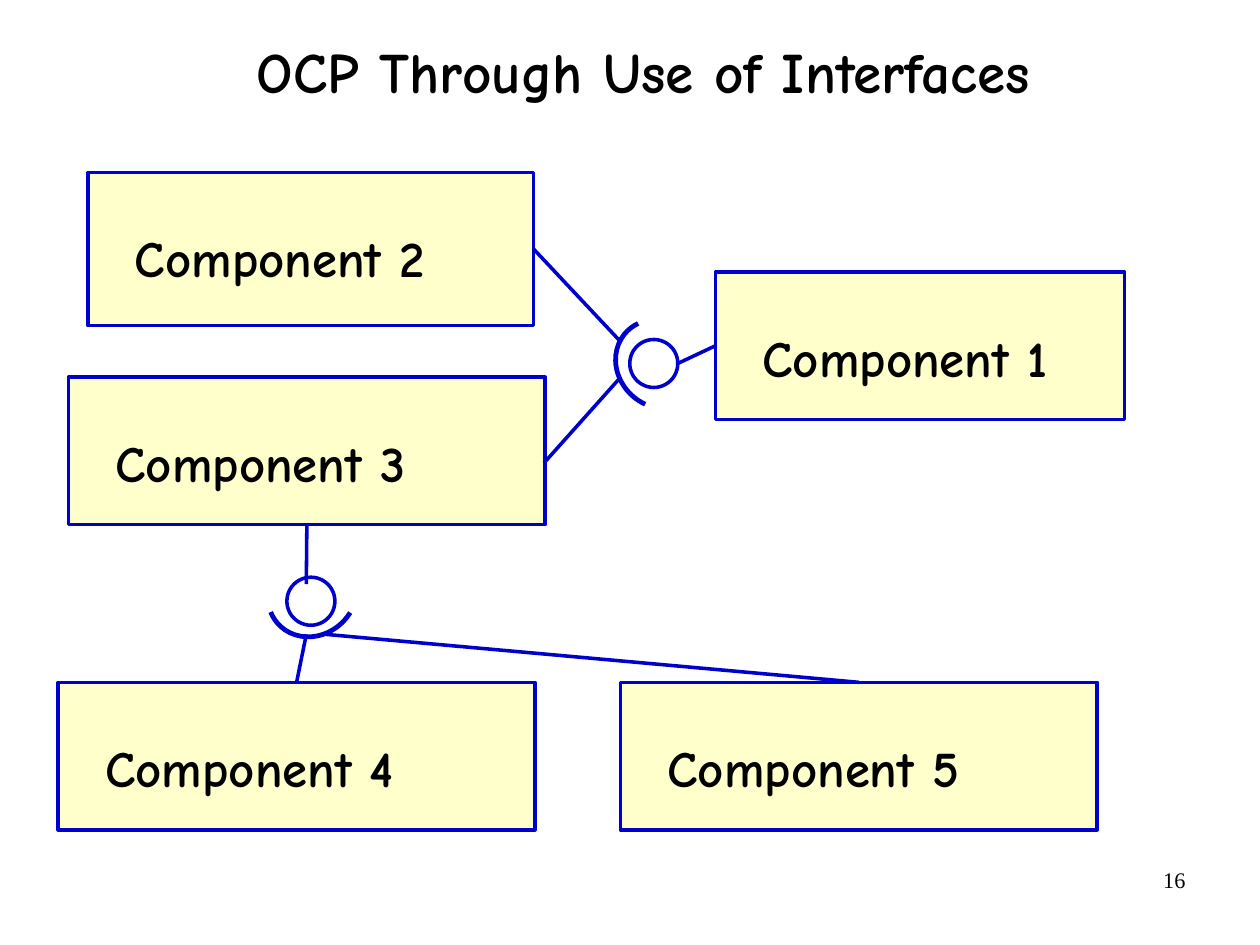
from dataclasses import dataclass
from typing import Optional

from lxml.etree import SubElement
from pptx import Presentation
from pptx.dml.color import RGBColor
from pptx.enum.shapes import MSO_CONNECTOR as Connector, MSO_SHAPE as Shape
from pptx.enum.text import MSO_ANCHOR as Anchor, PP_ALIGN as Align
from pptx.oxml.ns import qn
from pptx.util import Cm, Inches, Pt

COLORS = {"box": "FFFFCC", "line": "0000CC", "text": "000000", "page": "FFFFFF"}
HEAD_FONT, NUMBER_FONT = "Comic Neue", "Times New Roman"
TOP, LEFT, BOTTOM, RIGHT = range(4)
PAGE_SIZE = Cm(28), Cm(21)
CELLS_PER_INCH = 10  # square grid cells
BALL_SIZE, SOCKET_SIZE = 4.2, (8.3, 7.5)
COMPONENT_HEIGHT = 12.9


@dataclass(frozen=True)
class Component:
    name: str
    col: float
    row: float
    cols: float = 41.7
    rows: float = COMPONENT_HEIGHT


@dataclass(frozen=True)
class Interface:
    """A ball (provided side) held by a socket (required side)."""
    ball: tuple[float, float]
    socket: tuple[float, float]
    turn: float
    start_angle: float


@dataclass(frozen=True)
class Link:
    """A line from a component to an interface; without a side it starts at a point."""
    component: str
    side: Optional[int]
    end: tuple[float, float]
    start: tuple[float, float] = (0, 0)


COMPONENTS = [
    Component("Component 2", 7.7, 15.1, 39, 13.4),
    Component("Component 1", 62.6, 23.8, 35.8),
    Component("Component 3", 6, 33),
    Component("Component 4", 5.1, 59.7),
    Component("Component 5", 54.3, 59.7),
]
INTERFACES = [
    Interface((55.1, 29.7), (53.7, 28.1), 219.2, 151.59),
    Interface((25.1, 50.5), (23.2, 48), 132.7, 154),
]
LINKS = [
    Link("Component 1", LEFT, (59.3, 31.8)),
    Link("Component 2", RIGHT, (54.3, 29.9)),
    Link("Component 3", None, (54.3, 33), (47.6, 40.5)),
    Link("Component 3", BOTTOM, (26.8, 51.1)),
    Link("Component 4", TOP, (26.8, 55.5)),
    Link("Component 5", TOP, (28.5, 55.5)),
]


def cells(*counts: float) -> list[int]:
    return [Inches(count / CELLS_PER_INCH) for count in counts]


def color(name: str) -> RGBColor:
    return RGBColor.from_string(COLORS[name])


def write(frame, text: str, size: float, font: str, bold: bool,
          align: Align, spacing: float, **layout) -> None:
    for key, value in layout.items():
        setattr(frame, key, value)
    paragraph = frame.paragraphs[0]
    paragraph.text = text
    paragraph.alignment, paragraph.line_spacing = align, spacing
    for key, value in {"size": Pt(size), "name": font, "bold": bold}.items():
        setattr(paragraph.runs[0].font, key, value)
    paragraph.runs[0].font.color.rgb = color("text")


def outline(shape, width: float) -> None:
    shape.line.color.rgb = color("line")
    shape.line.width = Pt(width)


def draw_component(slide, item: Component):
    box = slide.shapes.add_shape(
        Shape.RECTANGLE, *cells(item.col, item.row, item.cols, item.rows))
    box.shadow.inherit = False
    box.fill.solid()
    box.fill.fore_color.rgb = color("box")
    outline(box, 2.25)
    write(box.text_frame, item.name, 32, HEAD_FONT, True, Align.LEFT, 0.8,
          word_wrap=True, vertical_anchor=Anchor.TOP,
          margin_left=Inches(0.41), margin_top=Inches(0.58))
    return box


def draw_interface(slide, item: Interface) -> None:
    ball = slide.shapes.add_shape(Shape.OVAL, *cells(*item.ball, BALL_SIZE, BALL_SIZE))
    socket = slide.shapes.add_shape(Shape.ARC, *cells(*item.socket, *SOCKET_SIZE))
    socket.rotation = item.turn
    socket.adjustments[0], socket.adjustments[1] = item.start_angle, 12.72
    for part, width in ((ball, 2.25), (socket, 3)):
        part.shadow.inherit = False
        part.fill.background()
        outline(part, width)


def draw_link(slide, item: Link, boxes: dict) -> None:
    line = slide.shapes.add_connector(
        Connector.STRAIGHT, *cells(*item.start, *item.end))
    if item.side is not None:
        line.begin_connect(boxes[item.component], item.side)
    outline(line, 2.25)
    SubElement(line._element.spPr, qn("a:effectLst"))


def main() -> None:
    deck = Presentation()
    deck.slide_width, deck.slide_height = PAGE_SIZE
    slide = deck.slides.add_slide(deck.slide_layouts[5])
    slide.background.fill.solid()
    slide.background.fill.fore_color.rgb = color("page")

    title = slide.shapes.title
    title.left, title.top, title.width, title.height = cells(9.3, 0, 94, 13.2)
    write(title.text_frame, "OCP Through Use of Interfaces", 36, HEAD_FONT, True,
          Align.CENTER, 0.88, word_wrap=True, vertical_anchor=Anchor.MIDDLE,
          margin_left=0, margin_top=0, margin_right=0, margin_bottom=0)

    boxes = {item.name: draw_component(slide, item) for item in COMPONENTS}
    for interface in INTERFACES:
        draw_interface(slide, interface)
    for link in LINKS:
        draw_link(slide, link, boxes)

    page_number = slide.shapes.add_textbox(*cells(79, 75.3, 25.7, 5.7))
    write(page_number.text_frame, "16", 14, NUMBER_FONT, False, Align.RIGHT, 1.0,
          word_wrap=True)
    deck.save("out.pptx")


if __name__ == "__main__":
    main()
